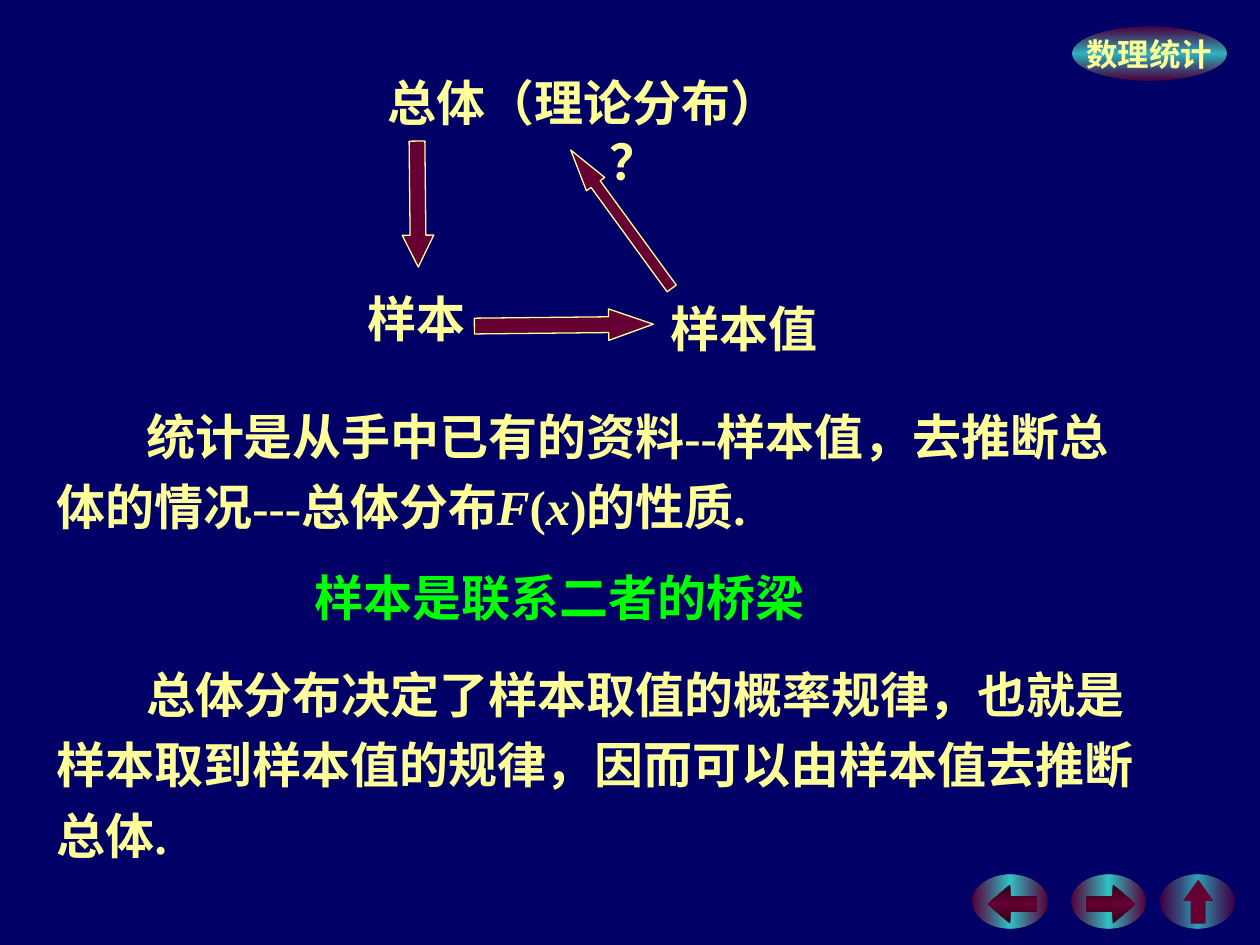
"""Build the slide on population, sample and sample values."""
from lxml.etree import SubElement
from pptx import Presentation
from pptx.dml.color import RGBColor
from pptx.enum.shapes import MSO_SHAPE as Preset
from pptx.enum.text import MSO_ANCHOR as Anchor, MSO_AUTO_SIZE as AutoSize, PP_ALIGN as Align
from pptx.oxml.ns import qn
from pptx.util import Inches, Pt

NAVY = RGBColor(0x00, 0x00, 0x66)
CREAM = RGBColor(0xFF, 0xFF, 0x99)
GREEN = RGBColor(0x00, 0xFF, 0x00)
WINE = RGBColor(0x66, 0x00, 0x33)
DARK_WINE = RGBColor(0x2F, 0x00, 0x17)
TEAL = RGBColor(0x33, 0xCC, 0xCC)
FONT = "Times New Roman"


def place(target, left, top, width, height):
    """Move and size a shape, in inches."""
    target.left, target.top = Inches(left), Inches(top)
    target.width, target.height = Inches(width), Inches(height)


def style_font(font, color=CREAM, size=28):
    """Give a font the bold look of the slide."""
    font.name, font.size, font.bold = FONT, Pt(size), True
    font.color.rgb = color


def prepare_frame(frame, wrap=True):
    """Set wrapping, anchoring and fixed size of a text frame."""
    frame.word_wrap = wrap
    frame.auto_size = AutoSize.NONE
    frame.vertical_anchor = Anchor.MIDDLE


def style_lines(frame, color=CREAM, size=28):
    """Centre and colour every paragraph of a frame."""
    for line in frame.paragraphs:
        line.alignment = Align.CENTER
        for run in line.runs:
            style_font(run.font, color, size)


def add_label(slide, words, box, color=CREAM):
    """Add a centred one-line label."""
    label = slide.shapes.add_textbox(*map(Inches, box))
    prepare_frame(label.text_frame, wrap=False)
    label.text_frame.text = words
    style_lines(label.text_frame, color)


def fill_title(title):
    """Write the population heading with its question mark below."""
    place(title, 2.83, 0.52, 3.6, 1.04)
    frame = title.text_frame
    prepare_frame(frame)
    frame.text = "总体（理论分布）\n？"
    style_lines(frame)
    frame.paragraphs[1]._p.get_or_add_pPr().set("marL", str(Inches(0.8)))


def fill_statement(body, box, parts):
    """Write an indented paragraph from pairs of text and italic flag."""
    place(body, *box)
    prepare_frame(body.text_frame)
    statement = body.text_frame.paragraphs[0]
    properties = statement._p.get_or_add_pPr()
    properties.set("marL", "0")
    properties.set("indent", str(Inches(0.71)))
    SubElement(properties, qn("a:buNone"))
    statement.line_spacing = 1.2
    statement.space_before = Pt(0)
    for words, italic in parts:
        run = statement.add_run()
        run.text = words
        style_font(run.font)
        run.font.italic = italic


def add_preset(slide, preset, box, adjustments=()):
    """Add a preset shape without shadow or outline."""
    preset_shape = slide.shapes.add_shape(preset, *map(Inches, box))
    preset_shape.shadow.inherit = False
    preset_shape.line.fill.background()
    for index, value in enumerate(adjustments):
        preset_shape.adjustments[index] = value
    return preset_shape


def fill_band(target, edge, middle, angle, edge_alpha=100, middle_alpha=100):
    """Fill a shape with a gradient mirrored about its middle."""
    target.fill.gradient()
    target.fill.gradient_angle = angle
    stops = target._element.spPr.find(qn("a:gradFill")).find(qn("a:gsLst"))
    for stop in list(stops):
        stops.remove(stop)
    bands = [(0, edge, edge_alpha), (50, middle, middle_alpha), (100, edge, edge_alpha)]
    for position, color, alpha in bands:
        stop = SubElement(stops, qn("a:gs"), pos=str(position * 1000))
        tone = SubElement(stop, qn("a:srgbClr"), val=str(color))
        if alpha < 100:
            SubElement(tone, qn("a:alpha"), val=str(alpha * 1000))


def add_badge(slide):
    """Add the course badge at the top right."""
    badge = add_preset(slide, Preset.OVAL, (8.51, 0.21, 1.22, 0.43))
    fill_band(badge, WINE, TEAL, 90, 73, 89)
    prepare_frame(badge.text_frame, wrap=False)
    badge.text_frame.text = "数理统计"
    style_lines(badge.text_frame, size=18)


def add_button(slide, left, alphas, preset, box, adjustments):
    """Add an oval navigation button and return its arrow."""
    oval = add_preset(slide, Preset.OVAL, (left, 6.94, 0.59, 0.43))
    fill_band(oval, WINE, TEAL, 0, *alphas)
    return add_preset(slide, preset, box, adjustments)


def add_navigation(slide):
    """Add the back, forward and up buttons."""
    for left, preset in ((7.72, Preset.LEFT_ARROW), (8.5, Preset.RIGHT_ARROW)):
        arrow = add_button(slide, left, (86, 96), preset,
                           (left + 0.12, 7.02, 0.39, 0.31), (0.363, 0.574))
        fill_band(arrow, DARK_WINE, WINE, 90)
    up_arrow = add_button(slide, 9.21, (62, 81), Preset.UP_ARROW,
                          (9.39, 6.98, 0.24, 0.35), (0.497, 0.71))
    up_arrow.fill.solid()
    up_arrow.fill.fore_color.rgb = WINE


def add_block_arrow(slide, box, rotation, head):
    """Add a block arrow of the diagram."""
    arrow = add_preset(slide, Preset.DOWN_ARROW, box, (0.5, head))
    arrow.rotation = rotation
    arrow.fill.solid()
    arrow.fill.fore_color.rgb = WINE
    arrow.line.color.rgb = CREAM
    arrow.line.width = Pt(0.75)


def main():
    """Build and save the slide."""
    deck = Presentation()
    deck.slide_width, deck.slide_height = Inches(10), Inches(7.5)
    slide = deck.slides.add_slide(deck.slide_layouts[3])
    slide.background.fill.solid()
    slide.background.fill.fore_color.rgb = NAVY

    add_badge(slide)
    add_navigation(slide)

    fill_title(slide.shapes.title)
    add_label(slide, "样本", (2.82, 2.24, 0.97, 0.57))
    add_label(slide, "样本值", (5.18, 2.32, 1.45, 0.57))
    add_block_arrow(slide, (4.35, 1.87, 0.25, 1.42), 269.4, 1.42)
    add_block_arrow(slide, (3.19, 1.12, 0.25, 1), 359.4, 1.01)
    add_block_arrow(slide, (4.84, 1.06, 0.18, 1.36), 143.9, 1.86)

    fill_statement(slide.placeholders[1], (0.35, 3.08, 8.72, 1.22), [
        ("统计是从手中已有的资料--样本值，去推断总体的情况---总体分布", False),
        ("F", True), ("(", False), ("x", True), (")的性质.", False)])
    add_label(slide, "样本是联系二者的桥梁", (2.4, 4.45, 4.08, 0.57), GREEN)
    fill_statement(slide.placeholders[2], (0.35, 5.13, 9, 1.78), [
        ("总体分布决定了样本取值的概率规律，也就是样本取到样本值的规律，"
         "因而可以由样本值去推断总体.", False)])
    deck.save("out.pptx")


if __name__ == "__main__":
    main()
